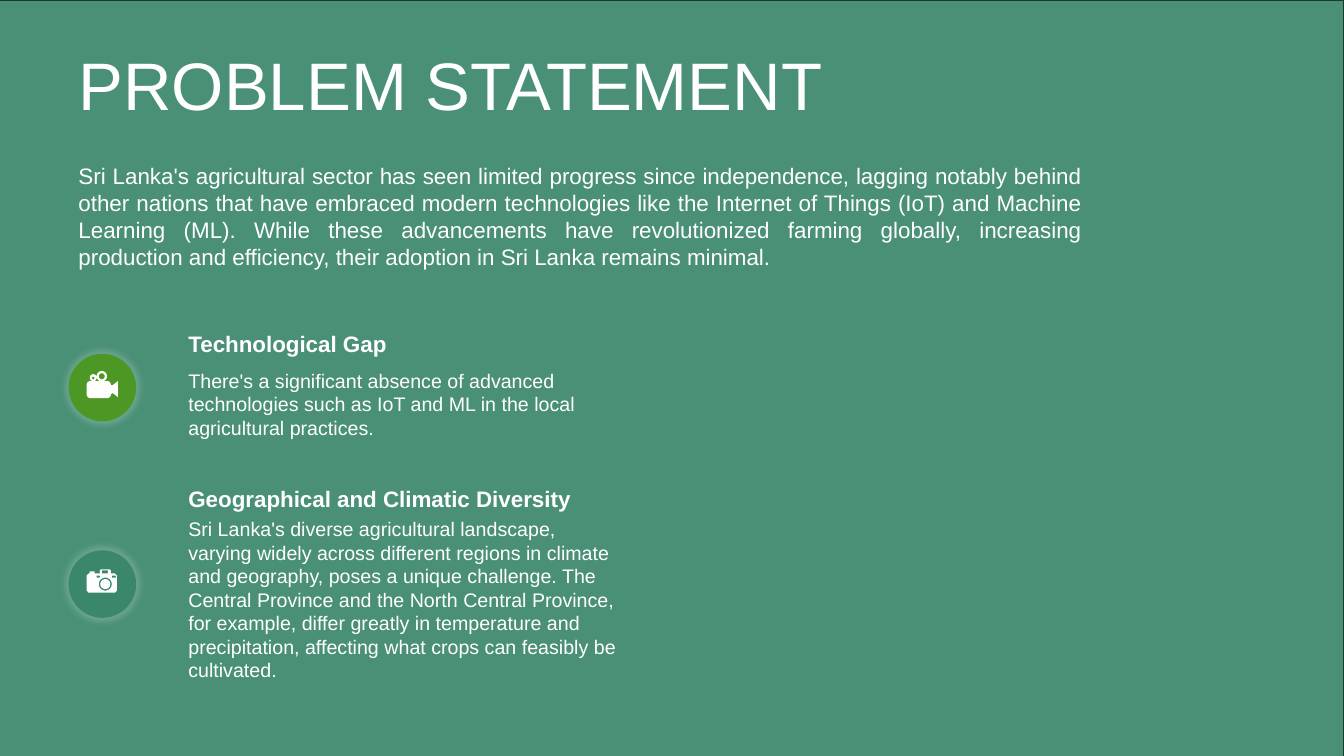
from math import cos, radians, sin

from lxml.etree import SubElement
from pptx import Presentation
from pptx.dml.color import RGBColor
from pptx.enum.shapes import MSO_SHAPE
from pptx.enum.text import MSO_ANCHOR, MSO_AUTO_SIZE, PP_ALIGN
from pptx.oxml.ns import qn
from pptx.util import Inches, Pt

COLORS = {
    "veil": "3A876B",
    "edge": "193B2F",
    "text": "FFFFFF",
    "video": "4D9724",
    "camera": "3A876B",
}
TITLE = {"size": Pt(48), "bold": False}
HEADING = {"size": Pt(16), "bold": True}
INTRO = {"size": Pt(16), "bold": False}
BODY = {"size": Pt(14), "bold": False}


def arc(x, y, radius, start=0, end=360):
    """Points along an arc, in hundredths of an inch, every 20 degrees."""
    angles = [radians(angle) for angle in range(start, end + 1, 20)]
    return [(x + radius * cos(a), y + radius * sin(a)) for a in angles]


def rectangle(left, top, right, bottom):
    return [(left, top), (right, top), (right, bottom), (left, bottom)]


# Icon outlines and holes, in hundredths of an inch from the disc's corner
ICONS = {
    "video": [
        [(35, 27), (39, 27), (41, 28), (42, 30), (42, 31), (44, 31),
         (49, 27), (49, 43), (44, 39), (42, 40), (42, 41), (41, 43),
         (39, 44), (21, 44), (19, 43), (18, 41), (18, 30), (19, 28),
         (21, 27), *arc(24.5, 23.7, 3.5, 110, 430),
         (26, 27), (31, 27), *arc(33, 22.3, 5.2, 110, 430)],
        arc(24.5, 24, 1.3),
        arc(33, 22.3, 3),
    ],
    "camera": [
        [(32, 19), (41, 19), (42, 20), (42, 23), (46, 23), (48, 25),
         (48, 40), (46, 42), (20, 42), (18, 40), (18, 25), (20, 23),
         (21, 23), (21, 21), (26, 21), (26, 23), (31, 23), (31, 20)],
        arc(36.5, 33.5, 6.5),
        arc(36.5, 33.5, 5),
        rectangle(28, 25, 31, 27),
        rectangle(43, 25, 47, 27),
        rectangle(33, 20, 39, 23),
    ],
}


class Slide:
    """Holds the style and the page; lengths are percentages of its size."""

    font = "Arial"

    def __init__(self, deck):
        self.width, self.height = deck.slide_width, deck.slide_height
        self.page = deck.slides.add_slide(deck.slide_layouts[5])

    def place(self, left, top, width, height):
        return (round(self.width * left / 100), round(self.height * top / 100),
                round(self.width * width / 100), round(self.height * height / 100))

    def color(self, name):
        return RGBColor.from_string(COLORS[name])

    def shape(self, kind, area, fill):
        box = self.page.shapes.add_shape(kind, *self.place(*area))
        box.shadow.inherit = False
        box.fill.solid()
        box.fill.fore_color.rgb = self.color(fill)
        box.line.fill.background()
        return box

    def backdrop(self, area):
        box = self.shape(MSO_SHAPE.RECTANGLE, area, "veil")
        box.line.color.rgb = self.color("edge")
        box.line.width = Pt(1)
        tint = box._element.spPr.find(qn("a:solidFill"))[0]
        SubElement(tint, qn("a:alpha"), val="92000")

    def fill_text(self, box, words, style, align=PP_ALIGN.LEFT, anchor=MSO_ANCHOR.TOP):
        frame = box.text_frame
        settings = {"word_wrap": True, "auto_size": MSO_AUTO_SIZE.NONE,
                    "vertical_anchor": anchor}
        for name, value in settings.items():
            setattr(frame, name, value)
        para = frame.paragraphs[0]
        para.alignment = align
        span = para.add_run()
        span.text = words
        for name, value in {"name": self.font, **style}.items():
            setattr(span.font, name, value)
        span.font.color.rgb = self.color("text")

    def title(self, words, area):
        box = self.page.shapes.title
        box.left, box.top, box.width, box.height = self.place(*area)
        self.fill_text(box, words, TITLE, anchor=MSO_ANCHOR.MIDDLE)
        box.text_frame.paragraphs[0].line_spacing = 0.9
        # Bring the title in front of the backdrop
        box._element.getparent().append(box._element)

    def text(self, words, area, style, **layout):
        box = self.page.shapes.add_textbox(*self.place(*area))
        self.fill_text(box, words, style, **layout)

    def badge(self, icon, left, top):
        disc = self.shape(MSO_SHAPE.OVAL, (left, top, 5.03, 8.93), icon)
        # Soft light halo
        effects = disc._element.spPr.find(qn("a:effectLst"))
        halo = SubElement(effects, qn("a:outerShdw"), blurRad="63500",
                          sx="110000", sy="110000", algn="ctr", rotWithShape="0")
        tint = SubElement(halo, qn("a:srgbClr"), val=COLORS["text"])
        SubElement(tint, qn("a:alpha"), val="20000")
        # Icon, drawn in thousandths of an inch
        contours = [[(x * 10, y * 10) for x, y in points] for points in ICONS[icon]]
        builder = self.page.shapes.build_freeform(*contours[0][0], scale=914.4)
        for points in contours:
            builder.move_to(*points[0])
            builder.add_line_segments(points[1:], close=True)
        drawing = builder.convert_to_shape(disc.left, disc.top)
        drawing.shadow.inherit = False
        drawing.fill.solid()
        drawing.fill.fore_color.rgb = self.color("text")
        drawing.line.fill.background()

    def topic(self, icon, icon_top, heading, heading_top, words, top, height):
        left, width = 13.28, 33.61
        self.text(words, (left, top, width, height), BODY)
        self.text(heading, (left, heading_top, width, 4.93), HEADING,
                  anchor=MSO_ANCHOR.MIDDLE)
        self.badge(icon, 5.1, icon_top)


def main():
    deck = Presentation()
    deck.slide_width, deck.slide_height = Inches(13.33), Inches(7.5)
    slide = Slide(deck)

    # Backdrop, title and introduction
    slide.backdrop((-0.9, 0, 100.9, 102.4))
    slide.title("PROBLEM STATEMENT", (5.1, 6.53, 94.9, 10.53))
    slide.text(
        "Sri Lanka's agricultural sector has seen limited progress since "
        "independence, lagging notably behind other nations that have embraced "
        "modern technologies like the Internet of Things (IoT) and Machine "
        "Learning (ML). While these advancements have revolutionized farming "
        "globally, increasing production and efficiency, their adoption in "
        "Sri Lanka remains minimal.",
        (5.1, 20.8, 76.14, 15.73), INTRO, align=PP_ALIGN.JUSTIFY)

    # Topics
    slide.topic(
        "video", 46.8, "Technological Gap", 42.93,
        "There's a significant absence of advanced technologies such as IoT "
        "and ML in the local agricultural practices.",
        48.13, 10.8)
    slide.topic(
        "camera", 72.8, "Geographical and Climatic Diversity", 63.47,
        "Sri Lanka's diverse agricultural landscape, varying widely across "
        "different regions in climate and geography, poses a unique challenge. "
        "The Central Province and the North Central Province, for example, "
        "differ greatly in temperature and precipitation, affecting what crops "
        "can feasibly be cultivated.",
        67.73, 23.33)

    deck.save("out.pptx")


if __name__ == "__main__":
    main()
